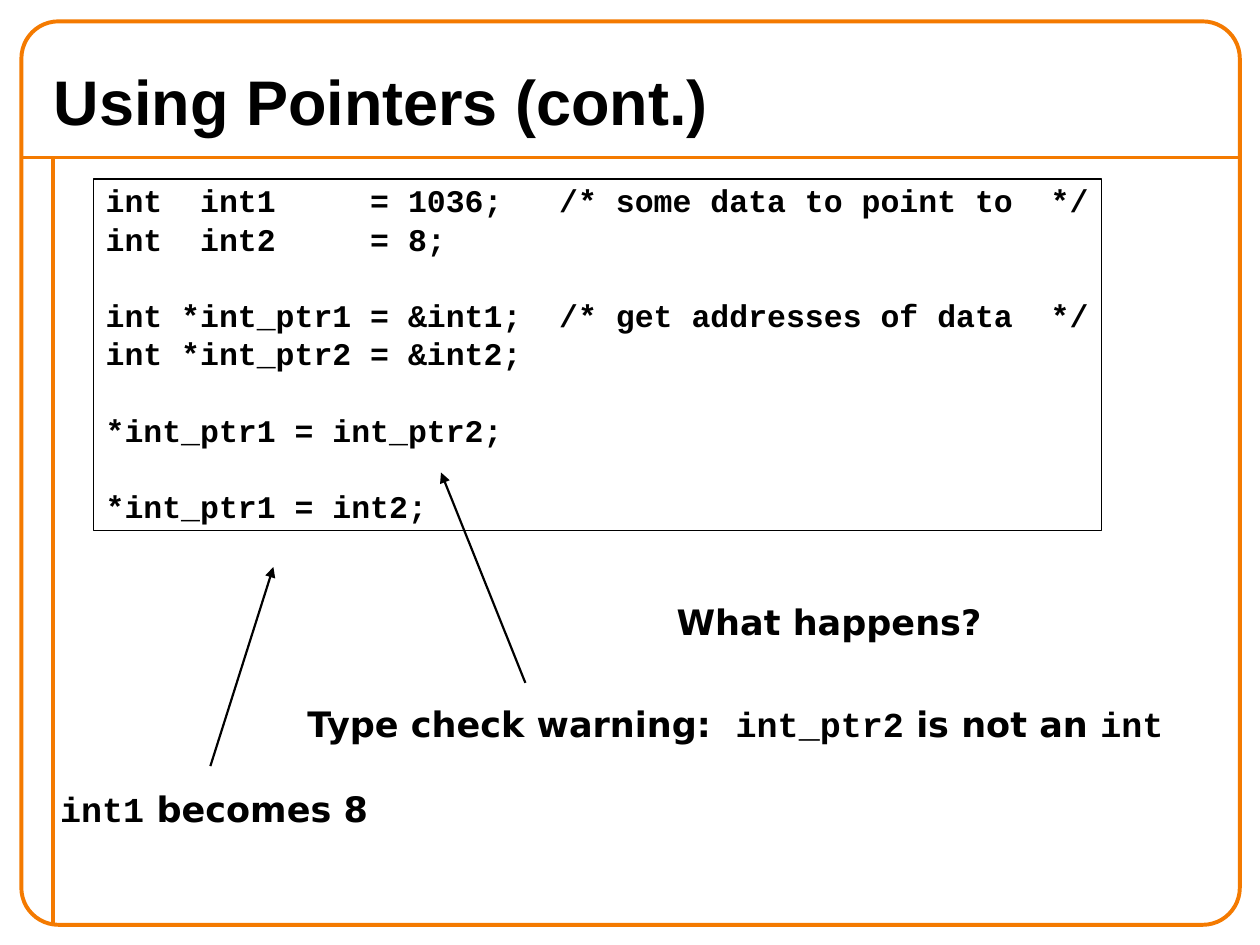
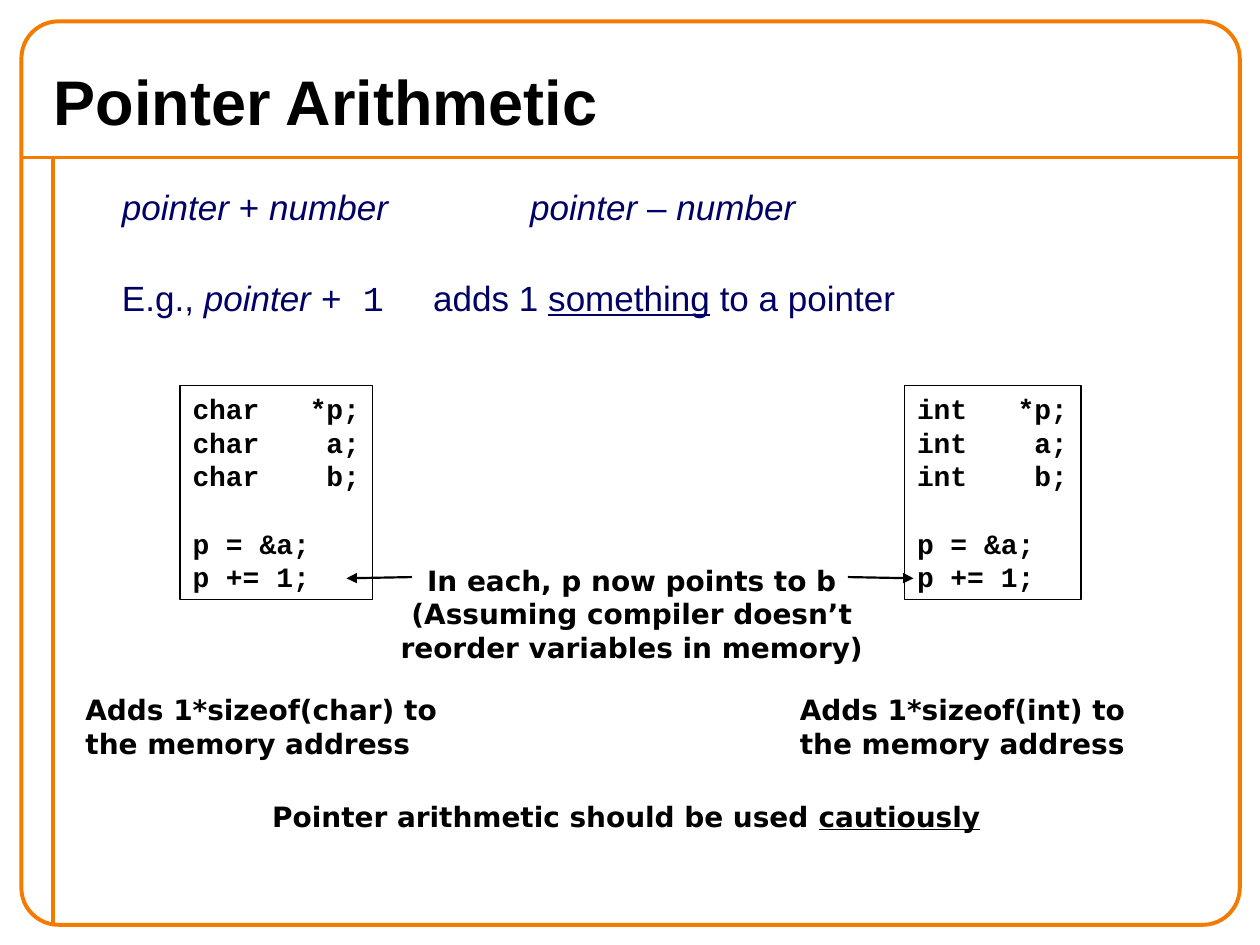
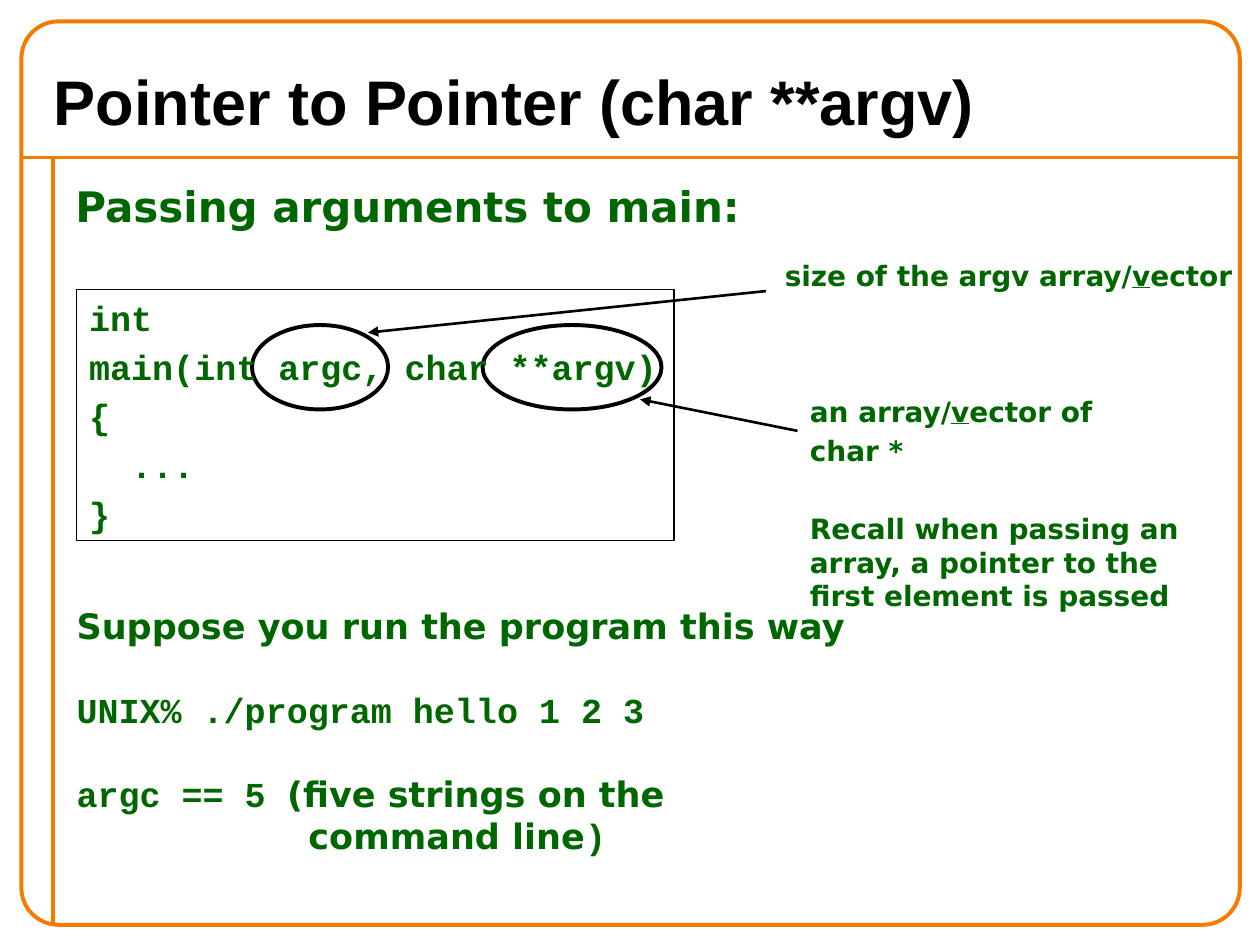
"""Build three lecture slides about pointers in C."""
from dataclasses import dataclass
from typing import NamedTuple

from lxml.etree import SubElement
from pptx import Presentation
from pptx.dml.color import RGBColor
from pptx.enum.shapes import MSO_CONNECTOR as Connector, MSO_SHAPE as Preset
from pptx.enum.text import MSO_ANCHOR as Anchor, PP_ALIGN as Align
from pptx.oxml.ns import qn
from pptx.presentation import Presentation as Deck
from pptx.slide import Slide
from pptx.util import Inches, Pt

ORANGE = RGBColor(0xF4, 0x7A, 0x00)
BLACK = RGBColor(0x00, 0x00, 0x00)
NAVY = RGBColor(0x00, 0x00, 0x66)
GREEN = RGBColor(0x00, 0x66, 0x00)

ARIAL = "Arial"
MONO = "Courier New"
SANS = "DejaVu Sans"
LEADING = 1.2


class Run(NamedTuple):
    """A piece of text that differs from its block's style."""

    text: str
    font: str | None = None
    italic: bool | None = None
    underline: bool | None = None


class Line(NamedTuple):
    """A paragraph, with the empty rows above it, its indent and its tab stop."""

    runs: tuple[Run, ...]
    rows_above: int = 0
    indent: float = 0
    tab: float = 0


@dataclass(frozen=True)
class Block:
    """A text box and the style its lines share."""

    left: float
    top: float
    width: float
    height: float
    lines: list[Line]
    size: float
    font: str = SANS
    color: RGBColor = BLACK
    bold: bool = True
    spacing: float = 0
    leading: float = LEADING
    align: Align = Align.LEFT
    anchor: Anchor = Anchor.TOP
    wrap: bool = False
    framed: bool = False


class Stroke(NamedTuple):
    """A straight line between two points."""

    x1: float
    y1: float
    x2: float
    y2: float
    weight: float = 1.25
    color: RGBColor = BLACK
    arrow: bool = True


class Outline(NamedTuple):
    """An unfilled preset shape."""

    preset: Preset
    left: float
    top: float
    width: float
    height: float
    color: RGBColor = BLACK


FRAME_STROKES = [
    Stroke(0.17, 1.25, 9.83, 1.25, 2.25, ORANGE, arrow=False),
    Stroke(0.42, 1.25, 0.42, 7.33, 2.25, ORANGE, arrow=False),
]
FRAME = Outline(Preset.ROUNDED_RECTANGLE, 0.17, 0.17, 9.67, 7.17, ORANGE)


def plain(text: str) -> list[Line]:
    """Turn rows of text into lines, counting empty rows as space above."""
    lines, rows_above = [], 0
    for row in text.split("\n"):
        if row:
            lines.append(Line((Run(row),), rows_above))
            rows_above = 0
        else:
            rows_above += 1
    return lines


def add_block(slide: Slide, block: Block) -> None:
    """Draw a text block."""
    shape = slide.shapes.add_textbox(
        Inches(block.left), Inches(block.top), Inches(block.width), Inches(block.height)
    )
    if block.framed:
        shape.line.color.rgb = BLACK
        shape.line.width = Pt(0.75)
    frame = shape.text_frame
    frame.word_wrap = block.wrap
    frame.vertical_anchor = block.anchor
    row_height = block.size * block.leading
    for index, line in enumerate(block.lines):
        paragraph = frame.add_paragraph() if index else frame.paragraphs[0]
        paragraph.alignment = block.align
        paragraph.line_spacing = Pt(row_height)
        if index:
            gap = block.spacing + line.rows_above * (row_height + block.spacing)
            paragraph.space_before = Pt(gap)
        properties = paragraph._p.get_or_add_pPr()
        if line.indent:
            properties.set("marL", str(Inches(line.indent)))
        if line.tab:
            tabs = SubElement(properties, qn("a:tabLst"))
            SubElement(tabs, qn("a:tab"), pos=str(Inches(line.tab)), algn="l")
        paragraph.font.name = block.font
        paragraph.font.size = Pt(block.size)
        paragraph.font.bold = block.bold
        paragraph.font.color.rgb = block.color
        for part in line.runs:
            run = paragraph.add_run()
            run.text = part.text
            if part.font:
                run.font.name = part.font
            if part.italic:
                run.font.italic = True
            if part.underline:
                run.font.underline = True


def add_stroke(slide: Slide, stroke: Stroke) -> None:
    """Draw a line, with an arrowhead at its end if asked."""
    connector = slide.shapes.add_connector(
        Connector.STRAIGHT,
        Inches(stroke.x1), Inches(stroke.y1), Inches(stroke.x2), Inches(stroke.y2),
    )
    connector.line.color.rgb = stroke.color
    connector.line.width = Pt(stroke.weight)
    if stroke.arrow:
        SubElement(connector.line._get_or_add_ln(), qn("a:tailEnd"), type="triangle")
    SubElement(connector._element.spPr, qn("a:effectLst"))


def add_outline(slide: Slide, outline: Outline) -> None:
    """Draw an unfilled shape."""
    shape = slide.shapes.add_shape(
        outline.preset,
        Inches(outline.left), Inches(outline.top),
        Inches(outline.width), Inches(outline.height),
    )
    shape.shadow.inherit = False
    shape.fill.background()
    shape.line.color.rgb = outline.color
    shape.line.width = Pt(2.25)
    if outline.preset == Preset.ROUNDED_RECTANGLE:
        shape.adjustments[0] = 0.041


def add_slide(
    presentation: Deck,
    title: str,
    blocks: list[Block],
    strokes: list[Stroke],
    outlines: list[Outline],
) -> None:
    """Add a framed slide with its title and content."""
    slide = presentation.slides.add_slide(presentation.slide_layouts[6])
    heading = Block(0.33, 0.42, 9.33, 0.75, plain(title), 36, ARIAL,
                    anchor=Anchor.MIDDLE, wrap=True)
    for outline in [FRAME, *outlines]:
        add_outline(slide, outline)
    for block in [heading, *blocks]:
        add_block(slide, block)
    for stroke in [*FRAME_STROKES, *strokes]:
        add_stroke(slide, stroke)


def add_using_pointers(presentation: Deck) -> None:
    """Add the slide on assigning through pointers."""
    code = """int  int1     = 1036;   /* some data to point to  */
int  int2     = 8;

int *int_ptr1 = &int1;  /* get addresses of data  */
int *int_ptr2 = &int2;

*int_ptr1 = int_ptr2;

*int_ptr1 = int2;"""
    warning = Line((Run("Type check warning:  "), Run("int_ptr2", MONO),
                    Run(" is not an "), Run("int", MONO)))
    result = Line((Run("int1", MONO), Run(" becomes 8")))
    blocks = [
        Block(0.74, 1.42, 8, 2.79, plain(code), 18, MONO, spacing=2.4,
              leading=0.9 * LEADING, framed=True),
        Block(2.34, 5.53, 7.05, 0.43, [warning], 20, anchor=Anchor.MIDDLE),
        Block(0.35, 6.2, 2.7, 0.43, [result], 20, align=Align.CENTER,
              anchor=Anchor.MIDDLE),
        Block(5.27, 4.72, 2.62, 0.43, plain("What happens?"), 20, align=Align.CENTER),
    ]
    strokes = [Stroke(4.17, 5.42, 3.5, 3.75), Stroke(1.67, 6.08, 2.17, 4.5)]
    add_slide(presentation, "Using Pointers (cont.)", blocks, strokes, [])


def add_pointer_arithmetic(presentation: Deck) -> None:
    """Add the slide on adding numbers to pointers."""
    forms = [
        Line((Run("pointer", italic=True), Run(" + "),
              Run("number\tpointer", italic=True), Run(" – "),
              Run("number", italic=True)), tab=3.24),
        Line((Run("E.g., "), Run("pointer ", italic=True), Run("+ 1", MONO),
              Run("\tadds 1 "), Run("something", underline=True),
              Run(" to a pointer")), rows_above=1, tab=2.47),
    ]
    note = "In each, p now points to b\n(Assuming compiler doesn’t reorder variables in memory)"
    caution = Line((Run("Pointer arithmetic should be used "),
                    Run("cautiously", underline=True)))
    blocks = [
        Block(0.87, 1.42, 8.63, 1.71, forms, 20, ARIAL, NAVY, bold=False,
              spacing=2, wrap=True),
        Block(2.95, 4.42, 4.13, 0.9, plain(note), 16, align=Align.CENTER, wrap=True),
        Block(2.06, 6.3, 5.82, 0.36, [caution], 16, align=Align.CENTER),
    ]
    for kind, code_left, code_width, text_left, text_width in [
        ("char", 1.43, 1.53, 0.58, 3.16),
        ("int", 7.18, 1.4, 6.25, 3.06),
    ]:
        code = f"{kind}   *p;\n{kind}    a;\n{kind}    b;\n\np = &a;\np += 1;"
        effect = f"Adds 1*sizeof({kind}) to the memory address"
        blocks += [
            Block(code_left, 3.06, code_width, 1.7, plain(code), 16, MONO, framed=True),
            Block(text_left, 5.45, text_width, 0.63, plain(effect), 16, wrap=True),
        ]
    strokes = [Stroke(3.27, 4.58, 2.75, 4.59), Stroke(6.73, 4.58, 7.25, 4.59)]
    add_slide(presentation, "Pointer Arithmetic", blocks, strokes, [])


def add_pointer_to_pointer(presentation: Deck) -> None:
    """Add the slide on the arguments of main."""
    code = "int\nmain(int argc, char **argv)\n{\n  ...\n}"
    vector = (Run("v", underline=True), Run("ector"))
    size_note = Line((Run("size of the argv array/"), *vector))
    array_note = [
        Line((Run("an array/"), *vector, Run(" of"))),
        *plain("char *\n\nRecall when passing an array, "
               "a pointer to the first element is passed"),
    ]
    usage = [
        Line((Run("Suppose you run the program this way"),)),
        Line((Run("UNIX% ./program hello 1 2 3", MONO),), rows_above=1),
        Line((Run("argc == 5 ", MONO), Run("(five strings on the")), rows_above=1),
        Line((Run("command line"), Run(")", MONO)), indent=1.84),
    ]
    blocks = [
        Block(0.5, 1.38, 9.42, 0.7, plain("Passing arguments to main:"), 24,
              color=GREEN, wrap=True),
        Block(0.61, 2.3, 4.74, 1.99, plain(code), 20, MONO, GREEN, spacing=4, framed=True),
        Block(6.33, 3.08, 3.25, 1.83, array_note, 16, color=GREEN, spacing=3.2, wrap=True),
        Block(6.13, 2, 3.75, 0.36, [size_note], 16, color=GREEN),
        Block(0.51, 4.75, 6.3, 2.1, usage, 20, color=GREEN),
    ]
    strokes = [Stroke(6.33, 3.42, 5.08, 3.17, 1.5), Stroke(6.08, 2.31, 2.92, 2.64, 1.5)]
    circles = [
        Outline(Preset.OVAL, 2, 2.58, 1.08, 0.67),
        Outline(Preset.OVAL, 3.83, 2.58, 1.42, 0.67),
    ]
    add_slide(presentation, "Pointer to Pointer (char **argv)", blocks, strokes, circles)


def main() -> None:
    """Build and save the presentation."""
    presentation = Presentation()
    presentation.slide_width = Inches(10)
    presentation.slide_height = Inches(7.5)
    add_using_pointers(presentation)
    add_pointer_arithmetic(presentation)
    add_pointer_to_pointer(presentation)
    presentation.save("out.pptx")


if __name__ == "__main__":
    main()
